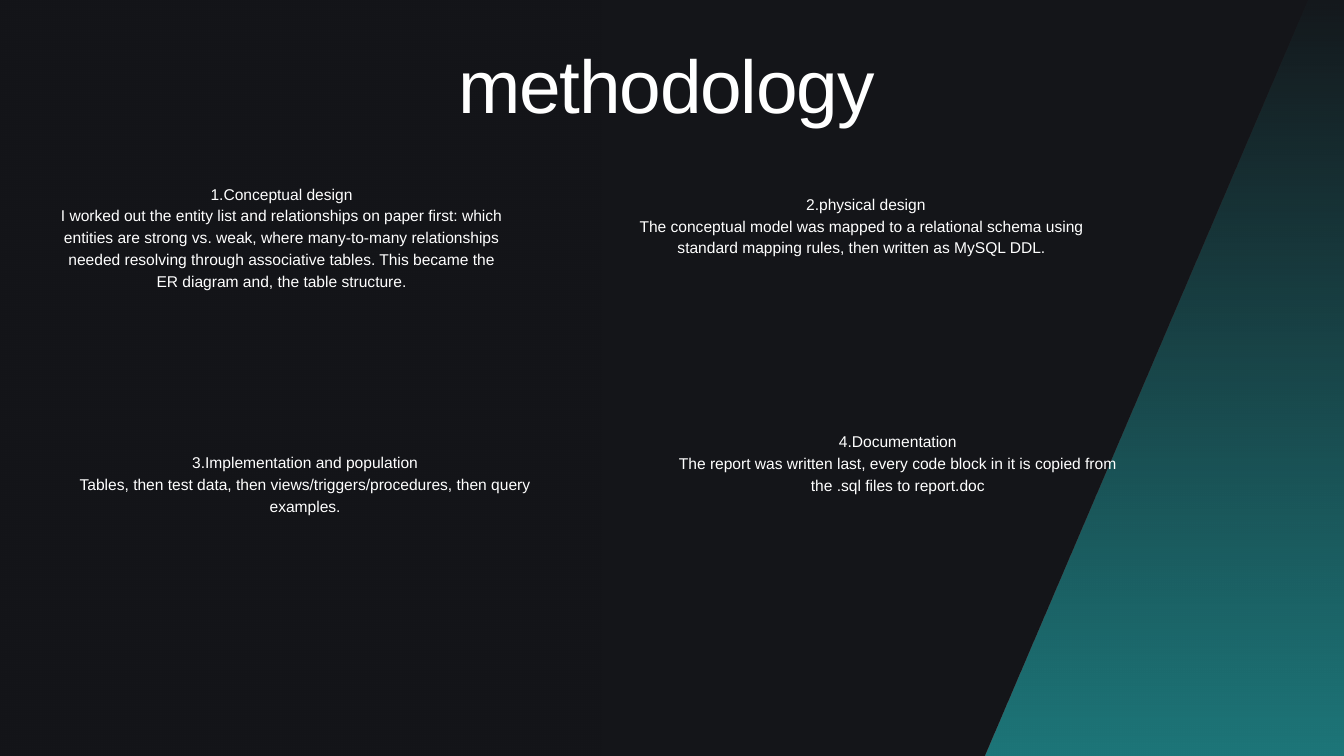
from dataclasses import dataclass

from lxml.etree import SubElement
from pptx import Presentation
from pptx.dml.color import RGBColor
from pptx.enum.text import MSO_AUTO_SIZE, PP_ALIGN
from pptx.oxml.ns import qn
from pptx.util import Inches, Pt

WIDTH, HEIGHT = Inches(20), Inches(11.25)
STEP_WIDTH = 33.6


@dataclass(frozen=True)
class Theme:
    """Colours, typeface and text formats of the slide."""
    back: RGBColor = RGBColor(0x14, 0x15, 0x19)
    accent: RGBColor = RGBColor(0x27, 0xDD, 0xDF)
    text: RGBColor = RGBColor(0xFF, 0xFF, 0xFF)
    font: str = "Arial"
    title_size: float = 80.2
    title_line: float = 77.8
    title_spacing: int = -130
    step_size: float = 16.7
    step_line: float = 23.4


THEME = Theme()

PANEL = [(-6.75, 0), (44.95, 0), (44.95, 100), (-6.75, 100)]
BAND = [(60.9, 151.56), (98.3, -4), (173.75, 53.33), (136.35, 208.89)]

STEPS = [
    (4.15, 24, 17.42, 0, "1.Conceptual design",
     "I worked out the entity list and relationships on paper first: which "
     "entities are strong vs. weak, where many-to-many relationships needed "
     "resolving through associative tables. This became the ER diagram and, "
     "the table structure."),
    (47.3, 25.33, 11.73, 9.3, "2.physical design",
     "The conceptual model was mapped to a relational schema using standard "
     "mapping rules, then written as MySQL DDL."),
    (5.9, 59.56, 11.73, 0, "3.Implementation and population",
     "Tables, then test data, then views/triggers/procedures, then query "
     "examples."),
    (50, 56.71, 14.58, 0, "4.Documentation",
     "The report was written last, every code block in it is copied from "
     "the .sql files to report.doc"),
]


def across(share):
    """Turn a percentage of the slide width into a length."""
    return round(WIDTH * share / 100)


def down(share):
    """Turn a percentage of the slide height into a length."""
    return round(HEIGHT * share / 100)


def set_all(obj, values):
    """Set each attribute named in a dict."""
    for name, value in values.items():
        setattr(obj, name, value)


def add_fade(s, corners, color, angle, clear_stop):
    """Draw an outline whose fill turns clear at one gradient stop."""
    start, *rest = [(across(x), down(y)) for x, y in corners]
    builder = s.shapes.build_freeform(*start, scale=1.0)
    builder.add_line_segments(rest, close=True)
    sp = builder.convert_to_shape()
    sp.shadow.inherit = False
    sp.line.fill.background()
    sp.fill.gradient()
    sp.fill.gradient_angle = angle
    for stop in sp.fill.gradient_stops:
        stop.color.rgb = color
    colors = list(sp._element.spPr.iter(qn("a:srgbClr")))
    SubElement(colors[clear_stop], qn("a:alpha"), val="0")


def add_text(s, box, lines, size, line, align, spacing=0, indent=0):
    """Place a text box with one paragraph per line, the first indented."""
    x, y, w, h = box
    tf = s.shapes.add_textbox(across(x), down(y), across(w), down(h)).text_frame
    set_all(tf, {"word_wrap": True, "auto_size": MSO_AUTO_SIZE.SHAPE_TO_FIT_TEXT,
                 "margin_left": 0, "margin_right": 0,
                 "margin_top": 0, "margin_bottom": 0})
    for i, text in enumerate(lines):
        p = tf.add_paragraph() if i else tf.paragraphs[0]
        set_all(p, {"alignment": align, "line_spacing": Pt(line)})
        if indent and i == 0:
            p._p.get_or_add_pPr().set("marL", str(Pt(indent)))
        r = p.add_run()
        r.text = text
        set_all(r.font, {"name": THEME.font, "size": Pt(size)})
        r.font.color.rgb = THEME.text
        if spacing:
            r.font._element.set("spc", str(spacing))


def main():
    """Build the methodology slide."""
    prs = Presentation()
    set_all(prs, {"slide_width": WIDTH, "slide_height": HEIGHT})
    s = prs.slides.add_slide(prs.slide_layouts[6])
    s.background.fill.solid()
    s.background.fill.fore_color.rgb = THEME.back
    add_fade(s, PANEL, THEME.back, 0, 1)
    add_text(s, (34.1, 7.38, 31.8, 11.64), ["methodology"], THEME.title_size,
             THEME.title_line, PP_ALIGN.LEFT, THEME.title_spacing)
    add_fade(s, BAND, THEME.accent, 270, 0)
    for x, y, h, indent, *lines in STEPS:
        add_text(s, (x, y, STEP_WIDTH, h), lines, THEME.step_size,
                 THEME.step_line, PP_ALIGN.CENTER, indent=indent)
    prs.save("out.pptx")


if __name__ == "__main__":
    main()
